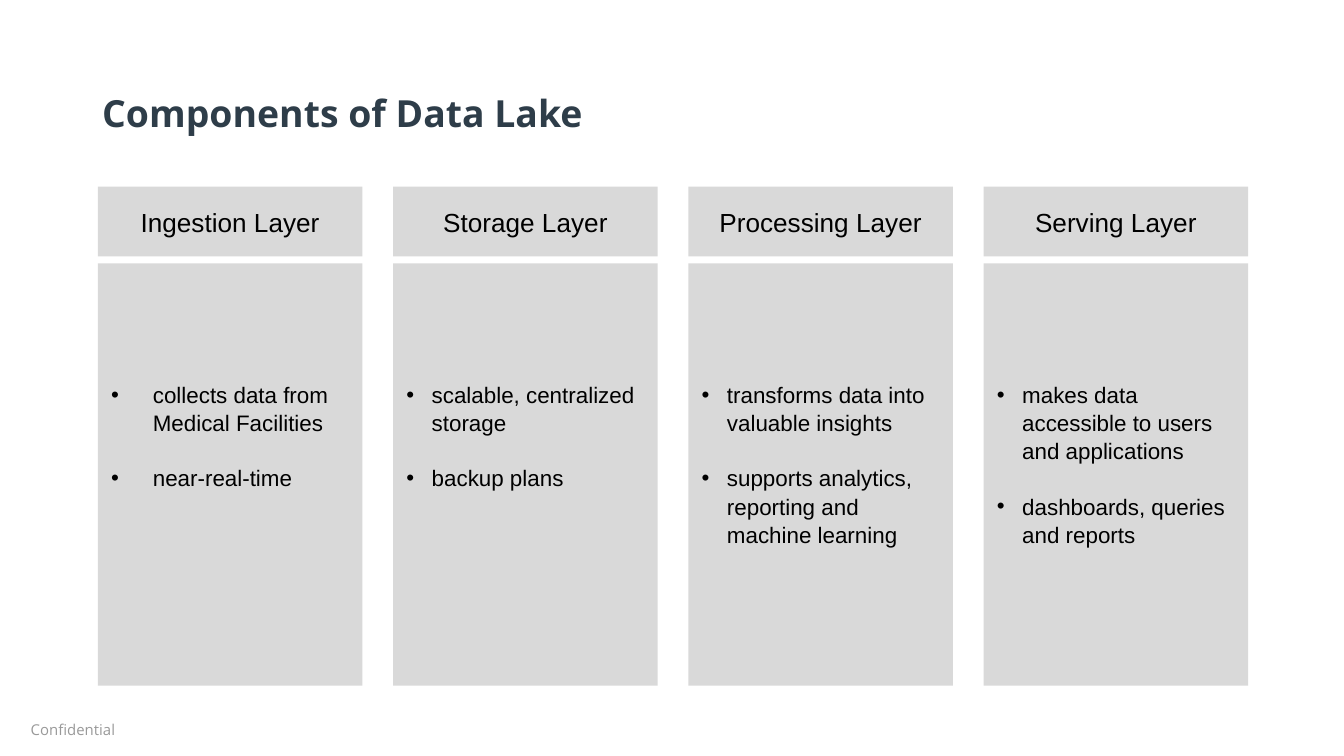
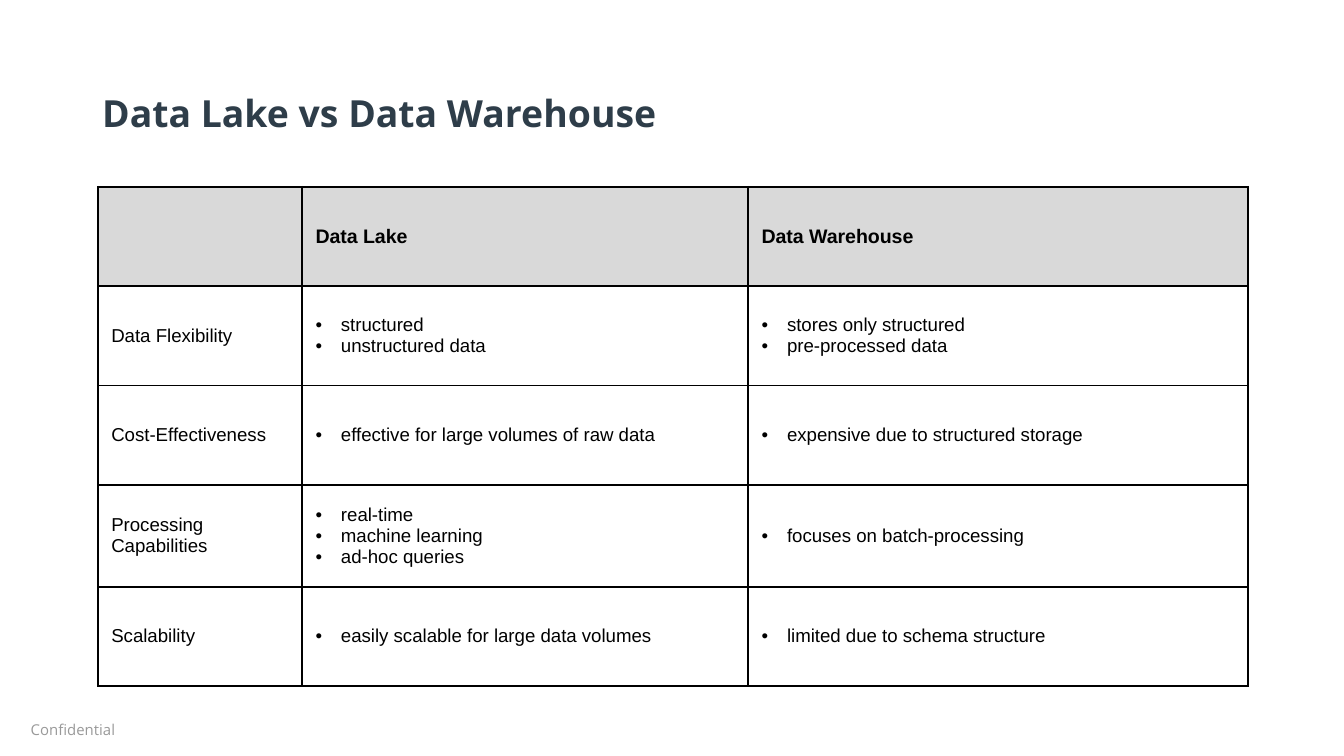
"""Builds two slides on the layers of a data lake and its contrast with a warehouse."""
from pptx import Presentation
from pptx.dml.color import RGBColor
from pptx.enum.shapes import MSO_SHAPE as Shape
from pptx.enum.text import MSO_ANCHOR as Anchor, MSO_AUTO_SIZE as AutoSize, PP_ALIGN as Align
from pptx.oxml.ns import qn
from pptx.util import Cm, Pt
from lxml.etree import SubElement

NAVY = RGBColor(0x2E, 0x3D, 0x49)
BLACK = RGBColor(0, 0, 0)
PANEL = RGBColor(0xD9, 0xD9, 0xD9)
MUTED = RGBColor(0x99, 0x99, 0x99)

LEFT, TOP = 1.85, 3.53
COLUMN_WIDTH, COLUMN_STEP = 5.0, 5.58
HEADER_HEIGHT = 1.32
BODY_TOP, BODY_HEIGHT = 4.98, 7.98
BODY_INSET = 2.2
INDENT, WIDE_INDENT = 0.48, 0.79

LAYERS = [
    ("Ingestion Layer", WIDE_INDENT,
     ["collects data from Medical Facilities", "near-real-time"]),
    ("Storage Layer", INDENT,
     ["scalable, centralized storage", "backup plans"]),
    ("Processing Layer", INDENT,
     ["transforms data into valuable insights",
      "supports analytics, reporting and machine learning"]),
    ("Serving Layer", INDENT,
     ["makes data accessible to users and applications",
      "dashboards, queries and reports"]),
]

TABLE_COLUMNS = [3.86, 8.43, 9.45]
TABLE_ROWS = [1.88, 1.88, 1.88, 1.92, 1.88]
HEADINGS = ["", "Data Lake", "Data Warehouse"]
COMPARISON = [
    ("Data Flexibility", ["structured", "unstructured data"],
     ["stores only structured", "pre-processed data"]),
    ("Cost-Effectiveness", ["effective for large volumes of raw data"],
     ["expensive due to structured storage"]),
    ("Processing Capabilities", ["real-time", "machine learning", "ad-hoc queries"],
     ["focuses on batch-processing"]),
    ("Scalability", ["easily scalable for large data volumes"],
     ["limited due to schema structure"]),
]


class Deck:
    """Holds the shared style and the slide being filled."""

    def __init__(self):
        self.presentation = Presentation()
        self.presentation.slide_width = Cm(25.4)
        self.presentation.slide_height = Cm(14.29)
        self.layout = self.presentation.slide_layouts[5]
        title = self.layout.placeholders[0]
        title.left, title.top, title.width, title.height = Cm(1.68), Cm(1.32), Cm(22.05), Cm(1.6)
        self.slide = None

    def new_slide(self, title):
        self.slide = self.presentation.slides.add_slide(self.layout)
        frame = self.slide.shapes.title.text_frame
        self.inset(frame, Anchor.MIDDLE)
        paragraph = frame.paragraphs[0]
        paragraph.alignment = Align.LEFT
        self.run(paragraph, title, 20, NAVY, "Open Sans", True)
        self.footer()

    def footer(self):
        box = self.slide.shapes.add_textbox(Cm(0.33), Cm(13.39), Cm(5.77), Cm(0.46))
        self.inset(box.text_frame, Anchor.TOP)
        self.run(box.text_frame.paragraphs[0], "Confidential", 8, MUTED, "Open Sans")

    def inset(self, frame, anchor):
        frame.word_wrap = True
        frame.auto_size = AutoSize.NONE
        frame.vertical_anchor = anchor
        frame.margin_left = frame.margin_right = Cm(0.25)
        frame.margin_top = frame.margin_bottom = Cm(0.25)

    def run(self, paragraph, text, size, color=BLACK, font="Arial", bold=False):
        run = paragraph.add_run()
        run.text = text
        run.font.size = Pt(size)
        run.font.name = font
        run.font.bold = bold
        run.font.color.rgb = color

    def bullets(self, frame, items, size, indent=INDENT, spacing=1.0, gap=0):
        for index, item in enumerate(items):
            paragraph = frame.add_paragraph() if index else frame.paragraphs[0]
            paragraph.alignment = Align.LEFT
            paragraph.line_spacing = spacing
            paragraph.space_after = Pt(gap)
            properties = paragraph._p.get_or_add_pPr()
            properties.set("marL", str(Cm(indent)))
            properties.set("indent", str(-Cm(indent)))
            color = SubElement(properties, qn("a:buClr"))
            SubElement(color, qn("a:srgbClr"), val=str(BLACK))
            SubElement(properties, qn("a:buFont"), typeface="Arial")
            SubElement(properties, qn("a:buChar"), char="•")
            self.run(paragraph, item, size)

    def panel(self, left, top, height):
        shape = self.slide.shapes.add_shape(
            Shape.RECTANGLE, Cm(left), Cm(top), Cm(COLUMN_WIDTH), Cm(height))
        shape.shadow.inherit = False
        shape.fill.solid()
        shape.fill.fore_color.rgb = PANEL
        shape.line.fill.background()
        shape.text_frame.word_wrap = True
        return shape.text_frame

    def layer(self, left, name, items, indent):
        header = self.panel(left, TOP, HEADER_HEIGHT)
        header.vertical_anchor = Anchor.MIDDLE
        header.paragraphs[0].alignment = Align.CENTER
        self.run(header.paragraphs[0], name, 14)
        body = self.panel(left, BODY_TOP, BODY_HEIGHT)
        body.vertical_anchor = Anchor.TOP
        body.margin_top = Cm(BODY_INSET)
        self.bullets(body, items, 12, indent, 1.05, 14.5)

    def borders(self, cell):
        properties = cell._tc.get_or_add_tcPr()
        for side in ("lnL", "lnR", "lnT", "lnB"):
            line = SubElement(properties, qn(f"a:{side}"), w=str(Pt(1)))
            fill = SubElement(line, qn("a:solidFill"))
            SubElement(fill, qn("a:srgbClr"), val=str(BLACK))

    def cell(self, cell, content, heading=False):
        self.borders(cell)
        cell.vertical_anchor = Anchor.MIDDLE
        if heading:
            cell.fill.solid()
            cell.fill.fore_color.rgb = PANEL
        else:
            cell.fill.background()
        if isinstance(content, list):
            self.bullets(cell.text_frame, content, 10)
        elif content:
            self.run(cell.text_frame.paragraphs[0], content, 10.5 if heading else 10, bold=heading)

    def table(self, headings, rows):
        frame = self.slide.shapes.add_table(
            len(TABLE_ROWS), len(TABLE_COLUMNS), Cm(LEFT), Cm(TOP),
            Cm(sum(TABLE_COLUMNS)), Cm(sum(TABLE_ROWS)))
        table = frame.table
        table.first_row = table.horz_banding = False
        for column, width in zip(table.columns, TABLE_COLUMNS):
            column.width = Cm(width)
        for row, height in zip(table.rows, TABLE_ROWS):
            row.height = Cm(height)
        for row_index, contents in enumerate([headings, *rows]):
            for column_index, content in enumerate(contents):
                self.cell(table.cell(row_index, column_index), content, row_index == 0)


def main():
    deck = Deck()
    deck.new_slide("Components of Data Lake")
    for index, (name, indent, items) in enumerate(LAYERS):
        deck.layer(LEFT + index * COLUMN_STEP, name, items, indent)
    deck.new_slide("Data Lake vs Data Warehouse")
    deck.table(HEADINGS, COMPARISON)
    deck.presentation.save("out.pptx")


if __name__ == "__main__":
    main()
